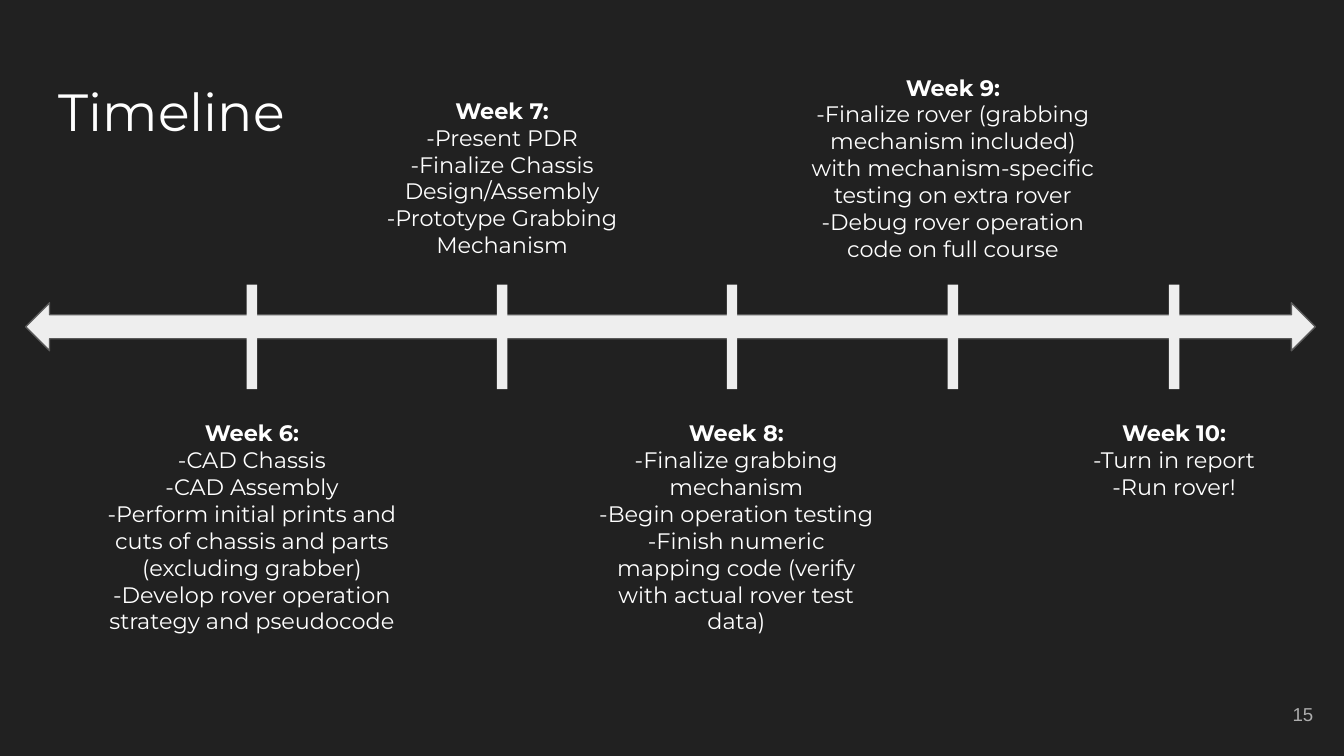
from dataclasses import dataclass

from pptx import Presentation
from pptx import util as u
from pptx.dml import color
from pptx.enum import shapes, text

BACKGROUND = "212121"
WHITE = "FFFFFF"
PALE = "EEEEEE"
GREY = "ADADAD"
OUTLINE = "595959"
BELOW_TOP = 217.5


@dataclass(frozen=True)
class Frame:
    left: float
    top: float
    width: float
    height: float

    def lengths(self) -> tuple:
        return tuple(u.Pt(n) for n in (self.left, self.top, self.width, self.height))


@dataclass(frozen=True)
class Style:
    font: str
    size: float
    color: str
    align: text.PP_ALIGN
    anchor: text.MSO_ANCHOR = text.MSO_ANCHOR.TOP


@dataclass(frozen=True)
class Week:
    number: int
    tick_center: float
    top: float
    height: float
    tasks: tuple[str, ...]
    width: float = 167
    text_shift: float = 0


TITLE = Style("Montserrat", 28, WHITE, text.PP_ALIGN.LEFT)
BODY = Style("Montserrat", 12, WHITE, text.PP_ALIGN.CENTER)
PAGE_NUMBER = Style("Arial", 10, GREY, text.PP_ALIGN.RIGHT, text.MSO_ANCHOR.MIDDLE)

WEEKS = (
    Week(6, 135, BELOW_TOP, 128, (
        "-CAD Chassis",
        "-CAD Assembly",
        "-Perform initial prints and cuts of chassis and parts (excluding grabber)",
        "-Develop rover operation strategy and pseudocode",
    ), width=181),
    Week(7, 269, 44.7, 103.5, (
        "-Present PDR",
        "-Finalize Chassis Design/Assembly",
        "-Prototype Grabbing Mechanism",
    )),
    Week(8, 392.2, BELOW_TOP, 84, (
        "-Finalize grabbing mechanism",
        "-Begin operation testing",
        "-Finish numeric mapping code (verify with actual rover test data)",
    ), text_shift=2.3),
    Week(9, 510.5, 32.3, 116, (
        "-Finalize rover (grabbing mechanism included) with mechanism-specific "
        "testing on extra rover",
        "-Debug rover operation code on full course",
    )),
    Week(10, 629, BELOW_TOP, 56, ("-Turn in report", "-Run rover!")),
)


def rgb(value: str) -> color.RGBColor:
    return color.RGBColor.from_string(value)


def add_text(page, frame: Frame, lines: tuple[str, ...], style: Style,
             heading: bool = False) -> None:
    box = page.shapes.add_textbox(*frame.lengths())
    body = box.text_frame
    body.word_wrap = True
    body.vertical_anchor = style.anchor
    body.margin_left = body.margin_right = u.Pt(7.2)
    body.margin_top = body.margin_bottom = u.Pt(7.2)
    for index, line in enumerate(lines):
        para = body.paragraphs[0] if index == 0 else body.add_paragraph()
        para.text = line
        para.alignment = style.align
        para.font.name = style.font
        para.font.size = u.Pt(style.size)
        para.font.bold = heading and index == 0
        para.font.color.rgb = rgb(style.color)


def add_bar(page, kind: shapes.MSO_SHAPE, frame: Frame, outline: str = ""):
    bar = page.shapes.add_shape(kind, *frame.lengths())
    bar.shadow.inherit = False
    bar.fill.solid()
    bar.fill.fore_color.rgb = rgb(PALE)
    if outline:
        bar.line.color.rgb = rgb(outline)
        bar.line.width = u.Pt(0.75)
    else:
        bar.line.fill.background()
    return bar


def add_week(page, week: Week) -> None:
    tick_width = 5.6
    add_bar(page, shapes.MSO_SHAPE.RECTANGLE,
            Frame(week.tick_center - tick_width / 2, 152.5, tick_width, 56))
    left = week.tick_center + week.text_shift - week.width / 2
    add_text(page, Frame(left, week.top, week.width, week.height),
             (f"Week {week.number}:", *week.tasks), BODY, heading=True)


def main() -> None:
    deck = Presentation()
    deck.slide_width, deck.slide_height = u.Pt(720), u.Pt(405)
    page = deck.slides.add_slide(deck.slide_layouts[6])
    page.background.fill.solid()
    page.background.fill.fore_color.rgb = rgb(BACKGROUND)

    add_text(page, Frame(24.5, 35.3, 162, 45.4), ("Timeline",), TITLE)
    add_text(page, Frame(667.4, 367.2, 43.2, 31), ("15",), PAGE_NUMBER)
    add_bar(page, shapes.MSO_SHAPE.LEFT_RIGHT_ARROW, Frame(13.7, 162.2, 691, 25.7), OUTLINE)
    for week in WEEKS:
        add_week(page, week)
    deck.save("out.pptx")


if __name__ == "__main__":
    main()
